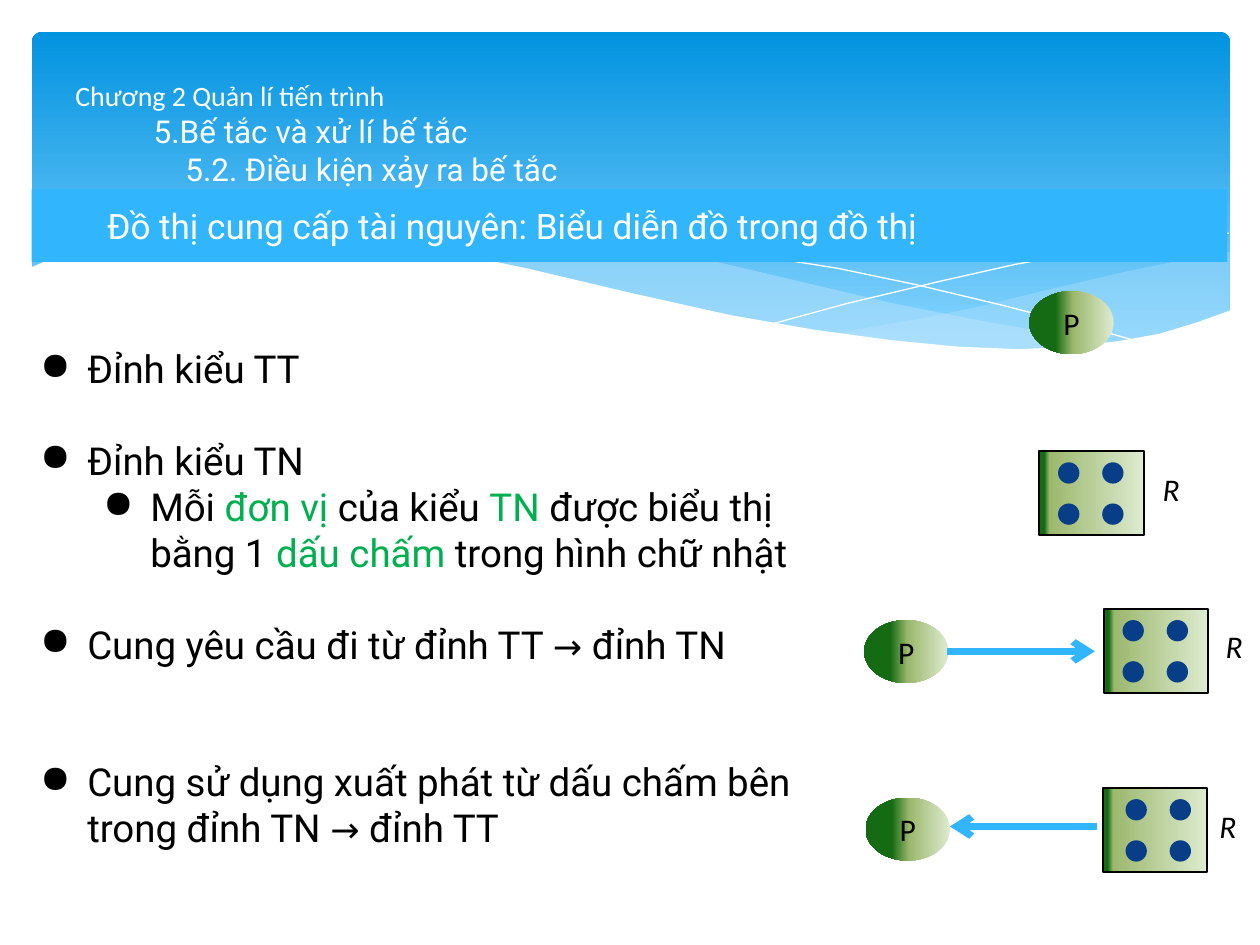
from dataclasses import dataclass

from lxml.etree import SubElement
from pptx import Presentation
from pptx.dml.color import RGBColor
from pptx.enum.shapes import MSO_CONNECTOR, MSO_SHAPE
from pptx.enum.text import MSO_ANCHOR, PP_ALIGN
from pptx.oxml.ns import qn
from pptx.util import Cm, Pt


@dataclass(frozen=True)
class Theme:
    white: str = "FFFFFF"
    black: str = "000000"
    wave: str = "C6E7FC"
    accent: str = "31B6FD"
    dot: str = "073E87"
    highlight: str = "00B050"
    header: tuple = ((0, "0293E0"), (90, "83D3FE"))
    process: tuple = ((0, "DDEBCF"), (48, "9CB86E"), (69, "156B13"))
    resource: tuple = ((0, "DDEBCF"), (90, "9CB86E"), (95, "156B13"))
    heading_font: str = "Roboto"
    label_font: str = "Calibri"
    chapter_size: int = 16
    label_size: int = 18
    band_size: int = 20
    arrow_size: int = 20
    body_size: int = 22


theme = Theme()


def paint(shape, fill=None, angle=0, line=None, width=1.25):
    """Fill with a colour, a tuple of gradient stops or nothing, and set the outline."""
    shape.shadow.inherit = False
    if fill is None:
        shape.fill.background()
    elif isinstance(fill, str):
        shape.fill.solid()
        shape.fill.fore_color.rgb = RGBColor.from_string(fill)
    else:
        shape.fill.gradient()
        gradient = shape._element.spPr.find(qn("a:gradFill"))
        stop_list = gradient.find(qn("a:gsLst"))
        for old_stop in list(stop_list):
            stop_list.remove(old_stop)
        for position, color in fill:
            stop = SubElement(stop_list, qn("a:gs"), pos=str(position * 1000))
            SubElement(stop, qn("a:srgbClr"), val=color)
        gradient.find(qn("a:lin")).set("ang", str(angle * 60000))
    if line is None:
        shape.line.fill.background()
    else:
        shape.line.color.rgb = RGBColor.from_string(line)
        shape.line.width = Pt(width)


def style(paragraph, font_name, size, color):
    for run in paragraph.runs:
        run.font.name = font_name
        run.font.size = Pt(size)
        run.font.color.rgb = RGBColor.from_string(color)


presentation = Presentation()
presentation.slide_width = Cm(25.4)
presentation.slide_height = Cm(19.05)
slide = presentation.slides.add_slide(presentation.slide_layouts[6])
shapes = slide.shapes

# Header panel and the waves that close it
header = shapes.add_shape(MSO_SHAPE.ROUNDED_RECTANGLE, Cm(0.64), Cm(0.64), Cm(24.16), Cm(6.86))
header.adjustments[0] = 0.03
paint(header, theme.header, 90)

right_wave = [
    (24.77, 5.08), (23.75, 5.26), (22.63, 5.49), (21.13, 5.84), (19.79, 6.17), (18.52, 6.43),
    (16.79, 6.73), (17.91, 6.88), (19.23, 7.01), (20.4, 7.06), (21.69, 7.01), (22.78, 6.86),
    (23.57, 6.71), (24.1, 6.53), (24.79, 6.27), (24.79, 5.08),
]
middle_wave = [
    (22.68, 6.93), (21.26, 6.73), (19.69, 6.45), (17.93, 6.1), (15.98, 5.64), (14.45, 5.28),
    (13.06, 5.03), (11.79, 4.85), (10.67, 4.75), (9.17, 4.72), (7.26, 4.85), (8.69, 5.05),
    (10.26, 5.36), (12.47, 5.89), (14.38, 6.3), (16.1, 6.63), (17.65, 6.86), (19, 7.01),
    (20.22, 7.09), (21.54, 7.06),
]
falling_line = [
    (7.85, 4.95), (8.97, 4.8), (10.57, 4.75), (12.42, 4.83), (14.12, 5), (15.44, 5.18),
    (16.89, 5.41), (18.47, 5.74), (20.19, 6.15), (22.05, 6.63), (23.04, 6.91),
]
rising_line = [
    (15.57, 6.53), (17.07, 6.12), (19, 5.66), (20.47, 5.33), (22, 5.05), (23.47, 4.83), (24.77, 4.7),
]
white_wave = [
    (24.82, 6.25), (24.13, 6.5), (23.37, 6.73), (22.53, 6.88), (21.59, 6.99), (20.55, 7.04),
    (19.33, 6.99), (17.98, 6.86), (16.43, 6.65), (14.71, 6.35), (12.78, 5.92), (10.62, 5.41),
    (9.27, 5.13), (8, 4.93), (6.88, 4.78), (5.84, 4.7), (4.5, 4.67), (3.35, 4.72), (2.41, 4.85),
    (1.7, 5), (1.17, 5.16), (0.58, 5.41), (0.58, 8.36), (24.82, 8.36),
]
for points, fill, opacity in (
    (right_wave, theme.wave, 29),
    (middle_wave, theme.wave, 40),
    (falling_line, None, 100),
    (rising_line, None, 100),
    (white_wave, theme.white, 100),
):
    corners = [(Cm(x), Cm(y)) for x, y in points]
    builder = shapes.build_freeform(*corners[0])
    builder.add_line_segments(corners[1:], close=fill is not None)
    wave = builder.convert_to_shape()
    paint(wave, fill, line=None if fill else theme.white, width=0)
    if opacity < 100:
        color = wave._element.spPr.find(".//" + qn("a:srgbClr"))
        SubElement(color, qn("a:alpha"), val=str(opacity * 1000))

# Title
title = shapes.add_textbox(Cm(1.27), Cm(0.94), Cm(22.86), Cm(3.48)).text_frame
title.word_wrap = True
title.vertical_anchor = MSO_ANCHOR.MIDDLE
title.text = "Chương 2 Quản lí tiến trình\n5.Bế tắc và xử lí bế tắc\n5.2. Điều kiện xảy ra bế tắc"
title_styles = (
    (0, theme.label_font, theme.chapter_size),
    (1.58, theme.heading_font, theme.label_size),
    (2.22, theme.heading_font, theme.label_size),
)
for paragraph, (indent, font_name, size) in zip(title.paragraphs, title_styles):
    paragraph._p.get_or_add_pPr().set("marL", str(Cm(indent)))
    style(paragraph, font_name, size, theme.white)

# Bullet list: level, space before, and pieces of text with the highlighted ones marked
bullets = (
    (0, 0, [("Đỉnh kiểu TT", False)]),
    (0, 26, [("Đỉnh kiểu TN", False)]),
    (1, 0, [("Mỗi ", False), ("đơn vị", True), (" của kiểu ", False), ("TN ", True),
            ("được biểu thị bằng 1 ", False), ("dấu chấm", True), (" trong hình chữ nhật", False)]),
    (0, 26, [("Cung yêu cầu đi từ đỉnh TT ", False), ("→", False), (" đỉnh TN", False)]),
    (0, 52, [("Cung sử dụng xuất phát từ dấu chấm bên trong đỉnh TN ", False), ("→", False),
             (" đỉnh TT", False)]),
)
body = shapes.add_textbox(Cm(0.56), Cm(6.83), Cm(16.66), Cm(10.59)).text_frame
body.word_wrap = True
for index, (level, space, pieces) in enumerate(bullets):
    paragraph = body.paragraphs[0] if index == 0 else body.add_paragraph()
    paragraph.level = level
    if space:
        paragraph.space_before = Pt(space)
    properties = paragraph._p.get_or_add_pPr()
    properties.set("marL", str(Cm(0.95 + 1.27 * level)))
    properties.set("indent", str(-Cm(0.95)))
    SubElement(properties, qn("a:buChar"), char="●")
    for text, highlighted in pieces:
        paragraph.add_run().text = text
    style(paragraph, theme.heading_font, theme.body_size, theme.black)
    for run, (text, highlighted) in zip(paragraph.runs, pieces):
        if highlighted:
            run.font.color.rgb = RGBColor.from_string(theme.highlight)
        if text == "→":
            run.font.size = Pt(theme.arrow_size)

# Subtitle band
band = shapes.add_shape(MSO_SHAPE.RECTANGLE, Cm(0.64), Cm(3.81), Cm(24.1), Cm(1.47))
paint(band, theme.accent)
band.text_frame.text = "Đồ thị cung cấp tài nguyên: Biểu diễn đồ trong đồ thị"
paragraph = band.text_frame.paragraphs[0]
paragraph.alignment = PP_ALIGN.LEFT
paragraph._p.get_or_add_pPr().set("marL", str(Cm(1.27)))
style(paragraph, theme.heading_font, theme.band_size, theme.white)

# Process nodes
for left, top in ((20.75, 5.87), (17.42, 12.5), (17.45, 16.08)):
    process = shapes.add_shape(MSO_SHAPE.OVAL, Cm(left), Cm(top), Cm(1.7), Cm(1.27))
    paint(process, theme.process, 180)
    process.text_frame.text = "P"
    process.text_frame.paragraphs[0].alignment = PP_ALIGN.CENTER
    style(process.text_frame.paragraphs[0], theme.label_font, theme.label_size, theme.black)

# Resource nodes: position, inset of the dots, position of the label
for left, top, inset, label_left, label_top in (
    (20.95, 9.09, 0.38, 23.19, 9.35),
    (22.25, 12.27, 0.38, 24.46, 12.52),
    (22.23, 15.88, 0.46, 24.33, 16.15),
):
    resource = shapes.add_shape(MSO_SHAPE.RECTANGLE, Cm(left), Cm(top), Cm(2.11), Cm(1.7))
    paint(resource, theme.resource, 180, theme.black)
    for column in range(2):
        for row in range(2):
            dot = shapes.add_shape(
                MSO_SHAPE.OVAL, Cm(left + inset + 0.89 * column), Cm(top + 0.23 + 0.83 * row),
                Cm(0.43), Cm(0.43))
            paint(dot, theme.dot)
    label = shapes.add_textbox(Cm(label_left), Cm(label_top), Cm(1.07), Cm(1.02)).text_frame
    label.word_wrap = True
    label.text = "R"
    style(label.paragraphs[0], theme.label_font, theme.label_size, theme.black)
    label.paragraphs[0].runs[0].font.italic = True

# Request edge to the right, usage edge to the left
for start, end, y in ((19.1, 22.07, 13.13), (22.12, 19.15, 16.66)):
    edge = shapes.add_connector(MSO_CONNECTOR.STRAIGHT, Cm(start), Cm(y), Cm(end), Cm(y))
    edge.line.color.rgb = RGBColor.from_string(theme.accent)
    edge.line.width = Pt(4)
    SubElement(edge.line._get_or_add_ln(), qn("a:tailEnd"), type="arrow")
    SubElement(edge._element.spPr, qn("a:effectLst"))

presentation.save("out.pptx")
